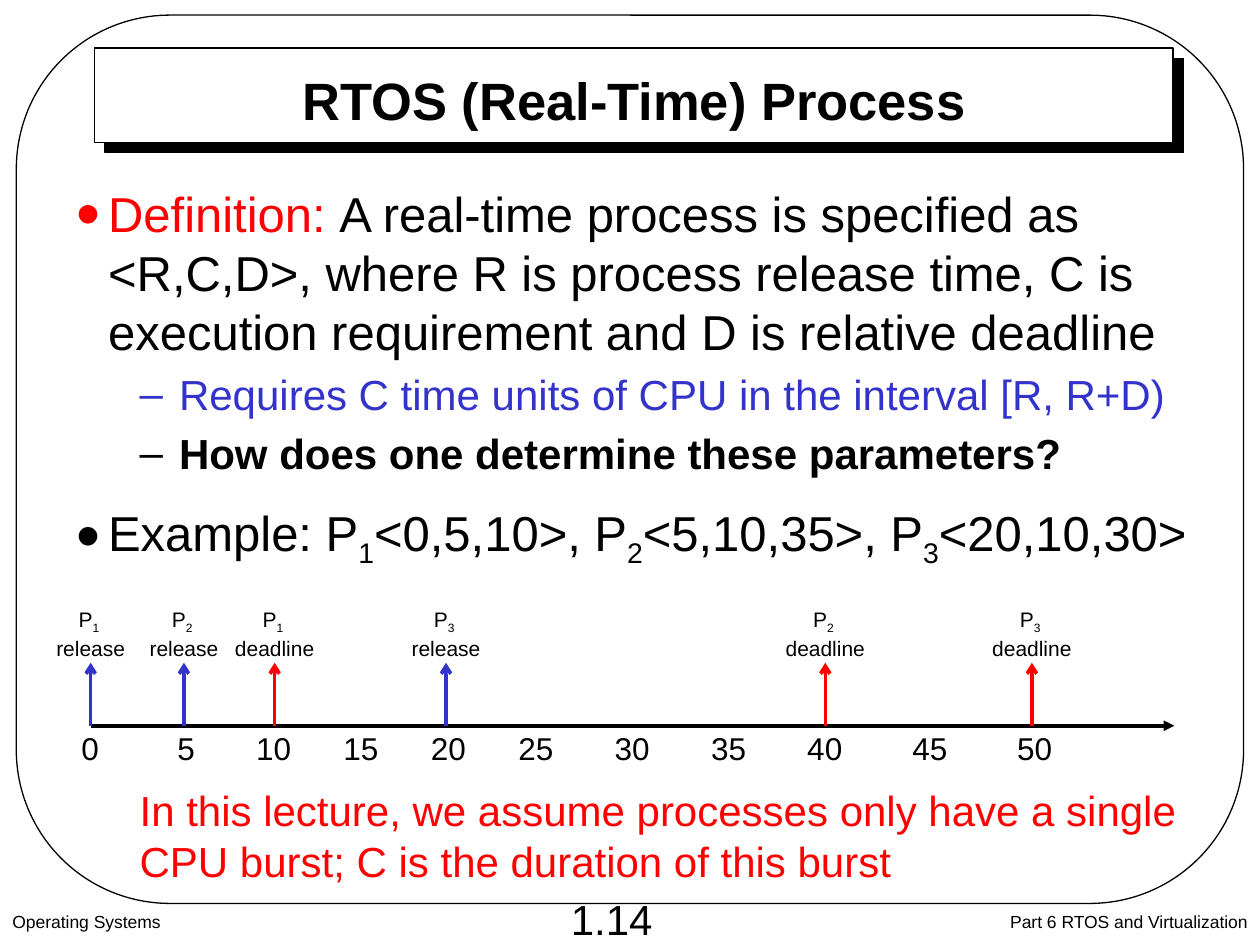
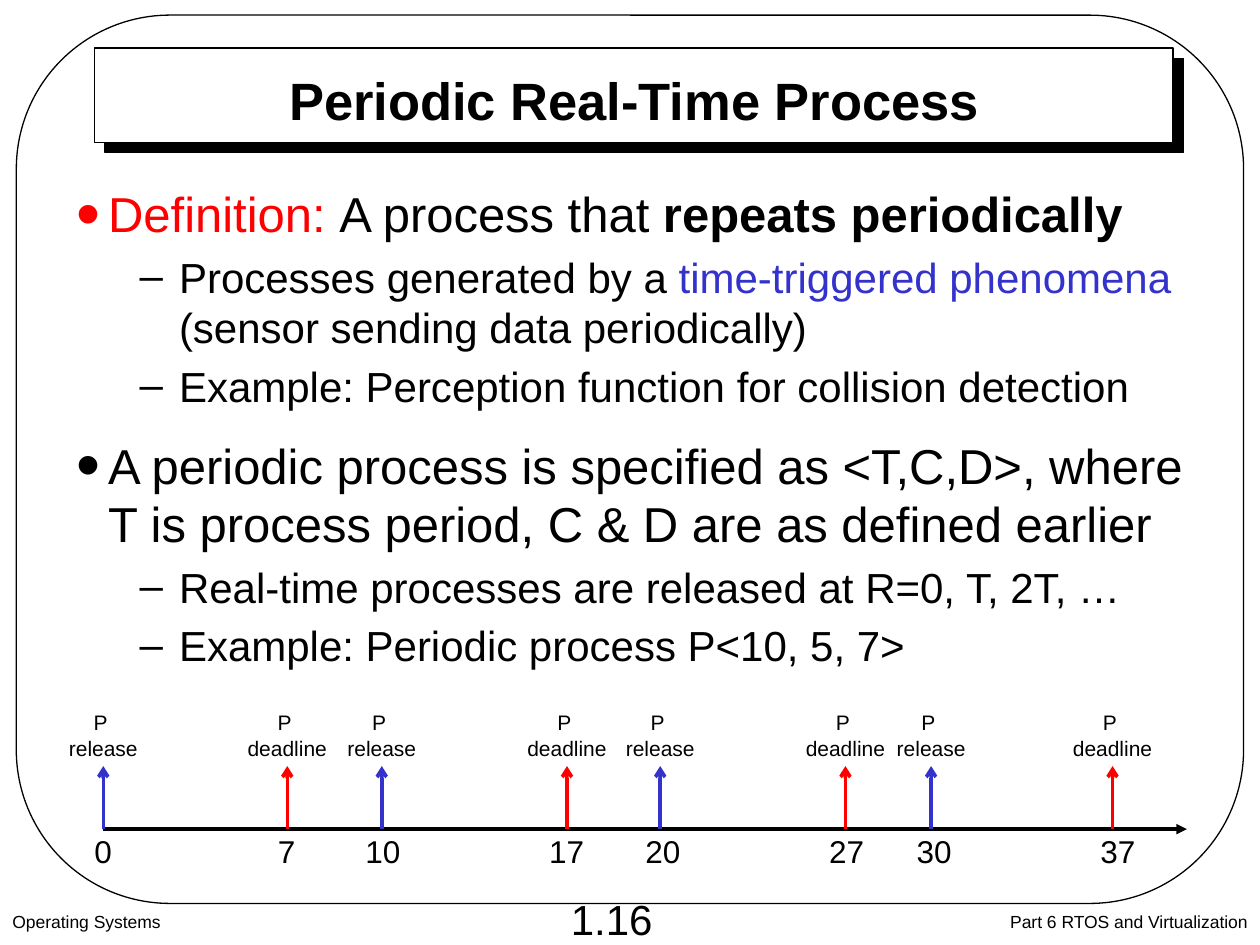
from dataclasses import dataclass
from itertools import accumulate

from lxml import etree
from pptx import Presentation
from pptx.dml.color import RGBColor
from pptx.enum.shapes import MSO_CONNECTOR, MSO_SHAPE
from pptx.enum.text import MSO_ANCHOR, MSO_AUTO_SIZE, PP_ALIGN
from pptx.oxml.ns import qn
from pptx.util import Pt

LEFT, CENTER, RIGHT = PP_ALIGN.LEFT, PP_ALIGN.CENTER, PP_ALIGN.RIGHT
TOP, MIDDLE = MSO_ANCHOR.TOP, MSO_ANCHOR.MIDDLE
FIXED, GROW = MSO_AUTO_SIZE.NONE, MSO_AUTO_SIZE.SHAPE_TO_FIT_TEXT
RECTANGLE, ROUNDED = MSO_SHAPE.RECTANGLE, MSO_SHAPE.ROUNDED_RECTANGLE
STRAIGHT = MSO_CONNECTOR.STRAIGHT


@dataclass(frozen=True)
class Theme:
    font: str = "Arial"
    black: RGBColor = RGBColor(0, 0, 0)
    white: RGBColor = RGBColor(255, 255, 255)
    red: RGBColor = RGBColor(255, 0, 0)
    blue: RGBColor = RGBColor(0x33, 0x33, 0xCC)
    title: int = 30
    point: int = 28
    detail: int = 24
    tick: int = 18
    label: int = 12
    footer: int = 10


THEME = Theme()


@dataclass(frozen=True)
class Level:
    size: int
    margin: float
    hang: float
    space: float
    bullet: str
    bullet_scale: int


POINT = Level(THEME.point, 18, 18, 0.5, "•", 140)
DETAIL = Level(THEME.detail, 58.5, 22.5, 0.2, "–", 100)


@dataclass(frozen=True)
class Span:
    text: str
    color: RGBColor = THEME.black
    bold: bool = False
    sub: bool = False


def add_child(parent, tag, **attributes):
    return etree.SubElement(parent, qn(tag), attributes)


class Builder:
    """Holds the theme and the page being drawn."""

    def __init__(self, deck, theme):
        self.deck, self.theme, self.page = deck, theme, None

    def start_page(self, title, number):
        self.page = self.deck.slides.add_slide(self.deck.slide_layouts[5])
        # Frame and title panel
        self.shape(ROUNDED, 9.36, 8.64, 701.28, 507.6).adjustments[0] = 0.173
        panel = self.shape(RECTANGLE, 54, 27.36, 616.32, 54, self.theme.white)
        self.hard_shadow(panel)
        # Title, in front of its panel
        box = self.page.shapes.title
        box.left, box.top, box.width, box.height = Pt(91.44), Pt(38.88), Pt(542.16), Pt(36)
        self.page.shapes._spTree.append(box._element)
        self.frame(box, MIDDLE)
        self.spans(box.text_frame.paragraphs[0], [Span(title, bold=True)],
                   self.theme.title, CENTER)
        # Footer
        footer = self.theme.footer
        self.text(0, 516.96, 288, 23, [[Span("Operating Systems")]], footer)
        self.text(491.76, 516.96, 228.24, 23,
                  [[Span("Part 6 RTOS and Virtualization")]], footer, RIGHT)
        self.text(317.52, 506.88, 64.08, 36, [[Span(number)]], self.theme.detail,
                  CENTER, MIDDLE, wrap=False)

    def shape(self, kind, left, top, width, height, fill=None):
        shape = self.page.shapes.add_shape(kind, Pt(left), Pt(top), Pt(width), Pt(height))
        shape.shadow.inherit = False
        if fill is None:
            shape.fill.background()
        else:
            shape.fill.solid()
            shape.fill.fore_color.rgb = fill
        shape.line.color.rgb = self.theme.black
        shape.line.width = Pt(0.75)
        return shape

    def hard_shadow(self, shape):
        effects = shape._element.spPr.find(qn("a:effectLst"))
        shadow = add_child(effects, "a:outerShdw", dist=str(Pt(8.5)),
                           dir="2700000", algn="ctr", rotWithShape="0")
        add_child(shadow, "a:srgbClr", val=str(self.theme.black))

    def frame(self, box, anchor=TOP, wrap=True):
        frame = box.text_frame
        frame.word_wrap = wrap
        frame.auto_size = FIXED if wrap else GROW
        frame.vertical_anchor = anchor
        return frame

    def spans(self, para, spans, size, align=LEFT):
        para.alignment = align
        for item in spans:
            span = para.add_run()
            span.text = item.text
            span.font.name = self.theme.font
            span.font.size = Pt(size)
            span.font.bold = item.bold
            span.font.color.rgb = item.color
            if item.sub:
                span._r.get_or_add_rPr().set("baseline", "-25000")

    def text(self, left, top, width, height, lines, size,
             align=LEFT, anchor=TOP, wrap=True):
        box = self.page.shapes.add_textbox(Pt(left), Pt(top), Pt(width), Pt(height))
        frame = self.frame(box, anchor, wrap)
        for index, line in enumerate(lines):
            para = frame.add_paragraph() if index else frame.paragraphs[0]
            self.spans(para, line, size, align)
        return box

    def outline(self, height, items):
        box = self.page.shapes.add_textbox(Pt(36.72), Pt(101.52), Pt(656.64), Pt(height))
        frame = self.frame(box)
        for index, (level, *spans) in enumerate(items):
            para = frame.add_paragraph() if index else frame.paragraphs[0]
            properties = para._p.get_or_add_pPr()
            properties.set("marL", str(Pt(level.margin)))
            properties.set("indent", str(-Pt(level.hang)))
            add_child(properties, "a:buSzPct", val=str(level.bullet_scale * 1000))
            add_child(properties, "a:buFont", typeface=self.theme.font)
            add_child(properties, "a:buChar", char=level.bullet)
            para.level = 0 if level is POINT else 1
            para.space_before = Pt(level.size * level.space if index else 0)
            self.spans(para, spans, level.size)

    def line(self, start, end, color, arrow_tag, arrow):
        line = self.page.shapes.add_connector(STRAIGHT, *map(Pt, start + end))
        line.line.color.rgb = color
        line.line.width = Pt(2)
        add_child(line.line._get_or_add_ln(), arrow_tag, type=arrow)
        add_child(line._element.spPr, "a:effectLst")

    def timeline(self, axis, first_tick, gaps, ticks, events):
        """Axis with its ticks; events are (x, process number, kind)."""
        start = events[0][0]
        self.line((start, axis), (start + 619.2, axis), self.theme.black,
                  "a:tailEnd", "triangle")
        # Tick values, centred on tab stops
        left, inset = first_tick - 12, 7.2
        values = "".join(f"\t{tick}" for tick in ticks)
        box = self.text(left, axis - 1.7, sum(gaps) + 40, 29, [[Span(values)]],
                        self.theme.tick)
        stops = add_child(box.text_frame.paragraphs[0]._p.get_or_add_pPr(), "a:tabLst")
        for x in accumulate(gaps, initial=first_tick):
            add_child(stops, "a:tab", pos=str(Pt(x - left - inset)), algn="ctr")
        # Arrows and labels
        for x, number, kind in events:
            color = self.theme.blue if kind == "release" else self.theme.red
            self.line((x, axis - 36), (x, axis), color, "a:headEnd", "arrow")
            name = [Span("P"), Span(f"{number} ", sub=True)] if number else [Span("P ")]
            self.text(x - 30, axis - 71.6, 60, 36, [name, [Span(kind)]],
                      self.theme.label, CENTER, wrap=False)


def real_time_page(builder):
    builder.start_page("RTOS (Real-Time) Process", "1.14")
    builder.outline(240, [
        (POINT, Span("Definition: ", THEME.red),
         Span("A real-time process is specified as <R,C,D>, where R is process release "
              "time, C is execution requirement and D is relative deadline")),
        (DETAIL, Span("Requires C time units of CPU in the interval [R, R+D)", THEME.blue)),
        (DETAIL, Span("How does one determine these parameters?", bold=True)),
        (POINT, Span("Example: P"), Span("1", sub=True), Span("<0,5,10>, P"),
         Span("2", sub=True), Span("<5,10,35>, P"), Span("3", sub=True),
         Span("<20,10,30>")),
    ])
    builder.timeline(
        414.72, 51.4, [55] + [50] * 4 + [55] * 3 + [60] * 2, range(0, 51, 5),
        [(51.84, 1, "release"), (105.12, 2, "release"), (156.96, 1, "deadline"),
         (254.88, 3, "release"), (471.6, 2, "deadline"), (589.68, 3, "deadline")])
    builder.text(72.72, 445, 620.64, 64,
                 [[Span("In this lecture, we assume processes only have a single "
                        "CPU burst; C is the duration of this burst", THEME.red)]],
                 THEME.detail)


def periodic_page(builder):
    builder.start_page("Periodic Real-Time Process", "1.16")
    builder.outline(360.72, [
        (POINT, Span("Definition: ", THEME.red), Span("A process that "),
         Span("repeats periodically", bold=True)),
        (DETAIL, Span("Processes generated by a "),
         Span("time-triggered phenomena ", THEME.blue),
         Span("(sensor sending data periodically)")),
        (DETAIL, Span("Example: Perception function for collision detection")),
        (POINT, Span("A periodic process is specified as <T,C,D>, where T is process "
                     "period, C & D are as defined earlier")),
        (DETAIL, Span("Real-time processes are released at R=0, T, 2T, …")),
        (DETAIL, Span("Example: Periodic process P<10, 5, 7>")),
    ])
    arrows = [59.04, 164.16, 218.16, 324, 377.28, 483.12, 532.08, 635.76]
    kinds = ["release", "deadline"] * 4
    builder.timeline(473.76, 58.9, [105, 55, 105, 55, 105, 50, 105],
                     [0, 7, 10, 17, 20, 27, 30, 37],
                     [(x, None, kind) for x, kind in zip(arrows, kinds)])


def main():
    deck = Presentation()
    deck.slide_width, deck.slide_height = Pt(720), Pt(540)
    builder = Builder(deck, THEME)
    real_time_page(builder)
    periodic_page(builder)
    deck.save("out.pptx")


if __name__ == "__main__":
    main()
